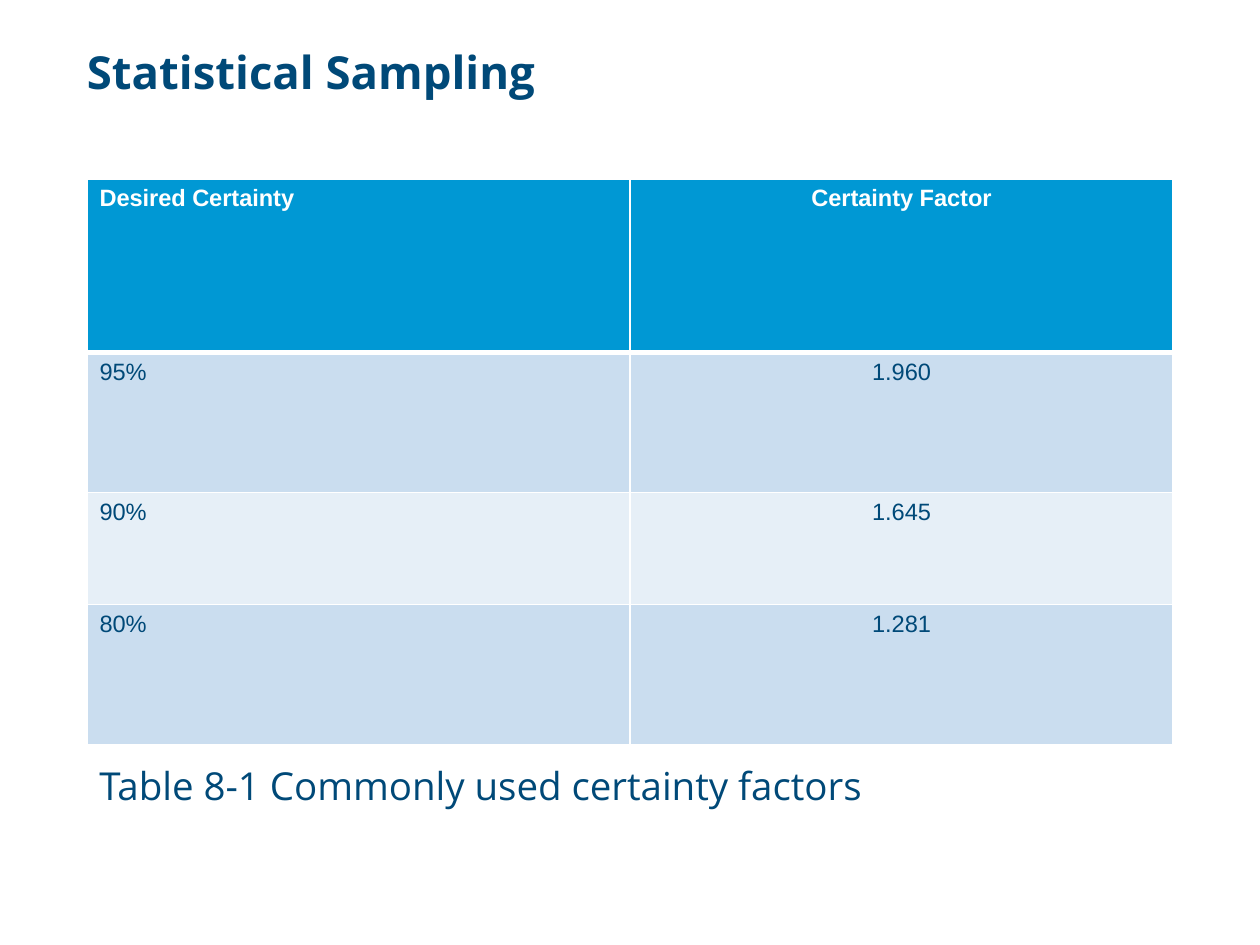
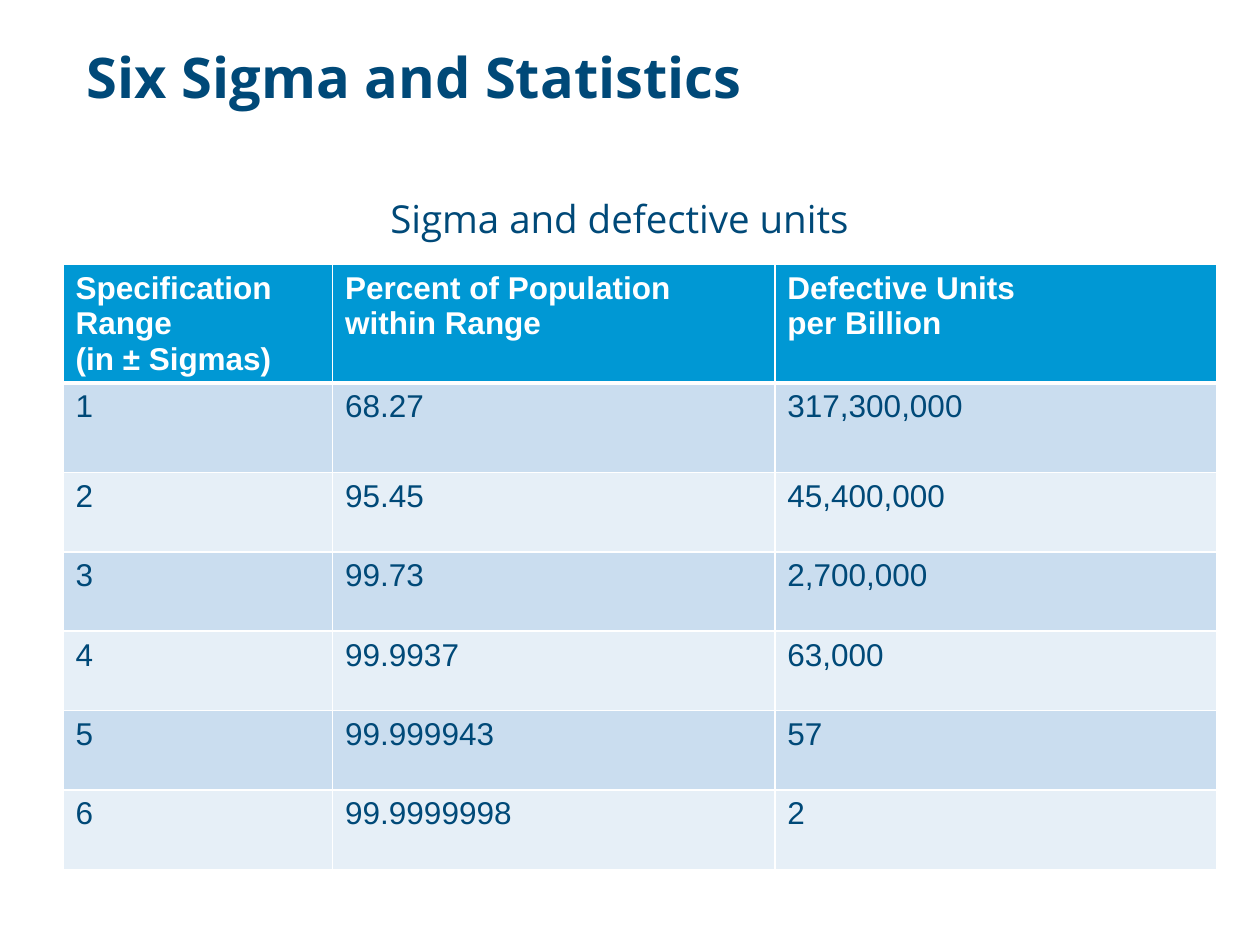
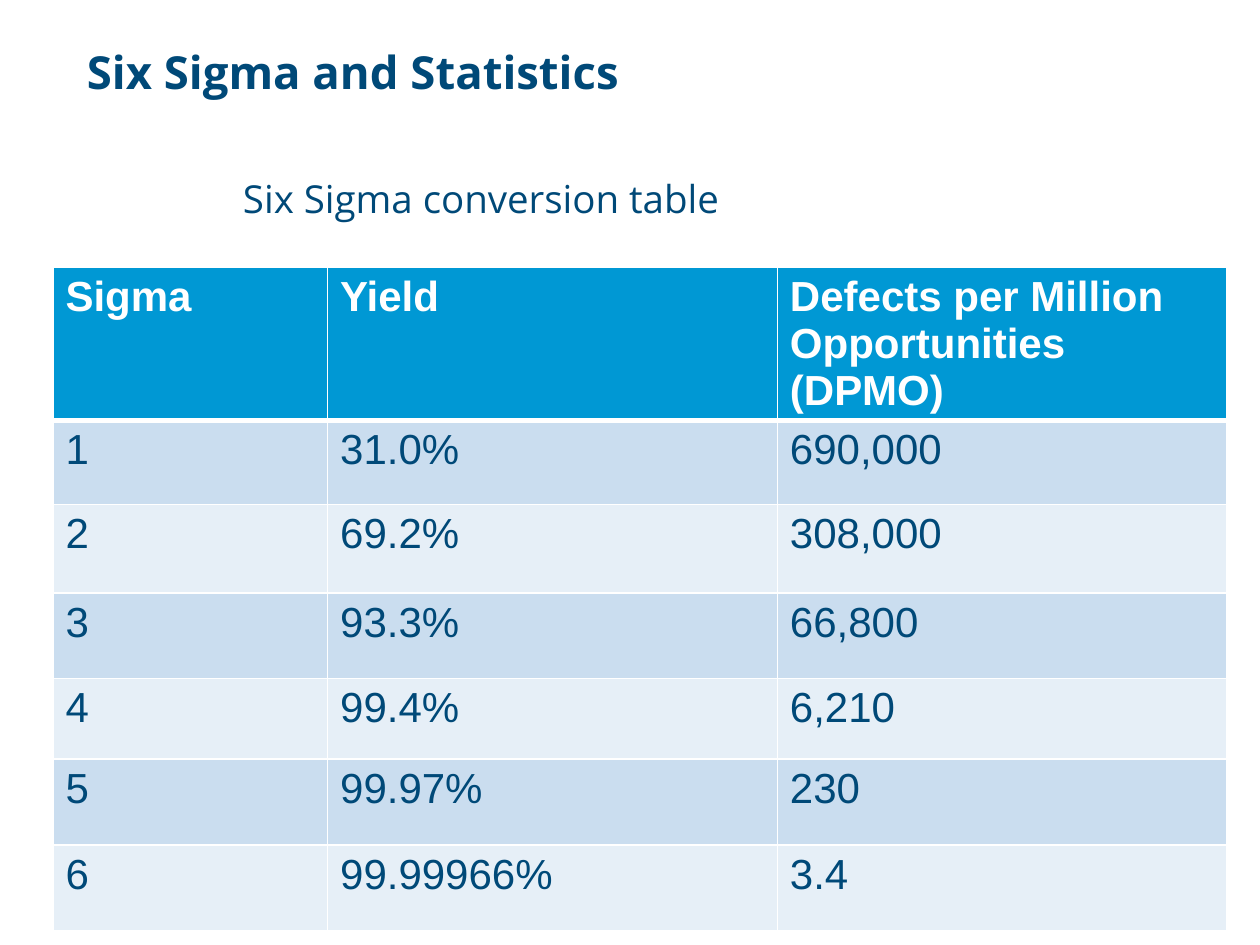
import pptx
import pptx.dml.color
import pptx.enum.text
import pptx.oxml.ns
import pptx.util
from lxml import etree

COLORS = {"navy": "004978", "header": "0098D4", "band_dark": "CADDEF",
          "band_light": "E6EFF7", "white": "FFFFFF"}
TITLE_FONT, TABLE_FONT = "Open Sans", "Arial"
SLIDE_WIDTH, SLIDE_HEIGHT = pptx.util.Inches(10), pptx.util.Inches(7.5)
MARGIN, TITLE_TOP, TITLE_WIDTH = 6.9, 5.33, 86.2
CAPTION_HEIGHT = 6.27
LEFT = pptx.enum.text.PP_ALIGN.LEFT
CENTER = pptx.enum.text.PP_ALIGN.CENTER


def place(left, top, width, height):
    """Turn percentages of the slide into lengths."""
    return (int(SLIDE_WIDTH * left / 100), int(SLIDE_HEIGHT * top / 100),
            int(SLIDE_WIDTH * width / 100), int(SLIDE_HEIGHT * height / 100))


def write(text_frame, text, font_name, size, color="navy", bold=False, align=LEFT):
    """Write one paragraph for each line of text."""
    for index, line in enumerate(text.split("\n")):
        paragraph = text_frame.add_paragraph() if index else text_frame.paragraphs[0]
        paragraph.alignment = align
        run = paragraph.add_run()
        run.text = line
        run.font.name = font_name
        run.font.size = pptx.util.Pt(size)
        run.font.bold = bold
        run.font.color.rgb = pptx.dml.color.RGBColor.from_string(COLORS[color])


def add_title(slide, text, size, height):
    title = slide.shapes.title
    title.left, title.top, title.width, title.height = place(
        MARGIN, TITLE_TOP, TITLE_WIDTH, height)
    frame = title.text_frame
    frame.margin_left = frame.margin_right = frame.margin_top = frame.margin_bottom = 0
    frame.vertical_anchor = pptx.enum.text.MSO_ANCHOR.TOP
    frame.auto_size = pptx.enum.text.MSO_AUTO_SIZE.NONE
    frame.word_wrap = True
    write(frame, text, TITLE_FONT, size, bold=True)
    frame.paragraphs[0].line_spacing = 0.9


def add_caption(slide, text, left, top, width):
    caption = slide.shapes.add_textbox(*place(left, top, width, CAPTION_HEIGHT))
    caption.text_frame.word_wrap = True
    caption.text_frame.auto_size = pptx.enum.text.MSO_AUTO_SIZE.SHAPE_TO_FIT_TEXT
    write(caption.text_frame, text, TITLE_FONT, 22)


def add_borders(cell, top=1, bottom=1):
    """Draw white cell borders, with widths in points."""
    qualified = pptx.oxml.ns.qn
    properties = cell._tc.get_or_add_tcPr()
    for side, width in (("L", 1), ("R", 1), ("T", top), ("B", bottom)):
        line = etree.SubElement(properties, qualified("a:ln" + side),
                                w=str(pptx.util.Pt(width)))
        fill = etree.SubElement(line, qualified("a:solidFill"))
        etree.SubElement(fill, qualified("a:srgbClr"), val=COLORS["white"])


def add_data_table(slide, box, column_weights, row_weights, rows, size, aligns):
    """Fill the box with a banded table, sharing it out by weights."""
    left, top, width, height = place(*box)
    table = slide.shapes.add_table(
        len(rows), len(column_weights), left, top, width, height).table
    for column, weight in zip(table.columns, column_weights):
        column.width = int(width * weight / sum(column_weights))
    for row, weight in zip(table.rows, row_weights):
        row.height = int(height * weight / sum(row_weights))
    for row_index, texts in enumerate(rows):
        is_header = row_index == 0
        band = "header" if is_header else ("band_light", "band_dark")[row_index % 2]
        for column_index, text in enumerate(texts):
            cell = table.cell(row_index, column_index)
            add_borders(cell, top=3 if row_index == 1 else 1,
                        bottom=3 if is_header else 1)
            cell.fill.solid()
            cell.fill.fore_color.rgb = pptx.dml.color.RGBColor.from_string(COLORS[band])
            write(cell.text_frame, text, TABLE_FONT, size,
                  "white" if is_header else "navy", is_header, aligns[column_index])


def add_table_slide(presentation, title, table, caption):
    slide = presentation.slides.add_slide(presentation.slide_layouts[5])
    add_title(slide, **title)
    add_data_table(slide, **table)
    add_caption(slide, **caption)


# Boxes are left, top, width and height in percent of the slide
SLIDES = [
    dict(
        title=dict(text="Statistical Sampling", size=26, height=10.27),
        table=dict(
            box=(MARGIN, 18.93, 86.2, 59.87), size=13.5,
            column_weights=(1, 1), row_weights=(1.38, 1.11, 0.89, 1.11),
            aligns=(LEFT, CENTER),
            rows=[("Desired Certainty", "Certainty Factor"),
                  ("95%", "1.960"),
                  ("90%", "1.645"),
                  ("80%", "1.281")]),
        caption=dict(text="Table 8-1 Commonly used certainty factors",
                     left=MARGIN, top=80, width=83.1)),
    dict(
        title=dict(text="Six Sigma and Statistics", size=32, height=8),
        table=dict(
            box=(5, 28, 91.6, 62.93), size=18,
            column_weights=(2.14, 3.51, 3.51),
            row_weights=(0.86, 0.71) + (0.63,) * 5,
            aligns=(LEFT,) * 3,
            rows=[("Specification Range\n(in ± Sigmas)",
                   "Percent of Population\nwithin Range",
                   "Defective Units\nper Billion"),
                  ("1", "68.27", "317,300,000"),
                  ("2", "95.45", "45,400,000"),
                  ("3", "99.73", "2,700,000"),
                  ("4", "99.9937", "63,000"),
                  ("5", "99.999943", "57"),
                  ("6", "99.9999998", "2")]),
        caption=dict(text="Sigma and defective units", left=30, top=20, width=58.3)),
    dict(
        title=dict(text="Six Sigma and Statistics", size=26, height=7.73),
        table=dict(
            box=(4.2, 28.27, 93.2, 66.27), size=24,
            column_weights=(2.18, 3.57, 3.57),
            row_weights=(0.92, 0.67, 0.7, 0.68, 0.64, 0.68, 0.68),
            aligns=(LEFT,) * 3,
            rows=[("Sigma", "Yield", "Defects per Million Opportunities (DPMO)"),
                  ("1", "31.0%", "690,000"),
                  ("2", "69.2%", "308,000"),
                  ("3", "93.3%", "66,800"),
                  ("4", "99.4%", "6,210"),
                  ("5", "99.97%", "230"),
                  ("6", "99.99966%", "3.4")]),
        caption=dict(text="Six Sigma conversion table",
                     left=18.3, top=17.87, width=60.8)),
]


def main():
    presentation = pptx.Presentation()
    presentation.slide_width, presentation.slide_height = SLIDE_WIDTH, SLIDE_HEIGHT
    for content in SLIDES:
        add_table_slide(presentation, **content)
    presentation.save("out.pptx")


if __name__ == "__main__":
    main()
